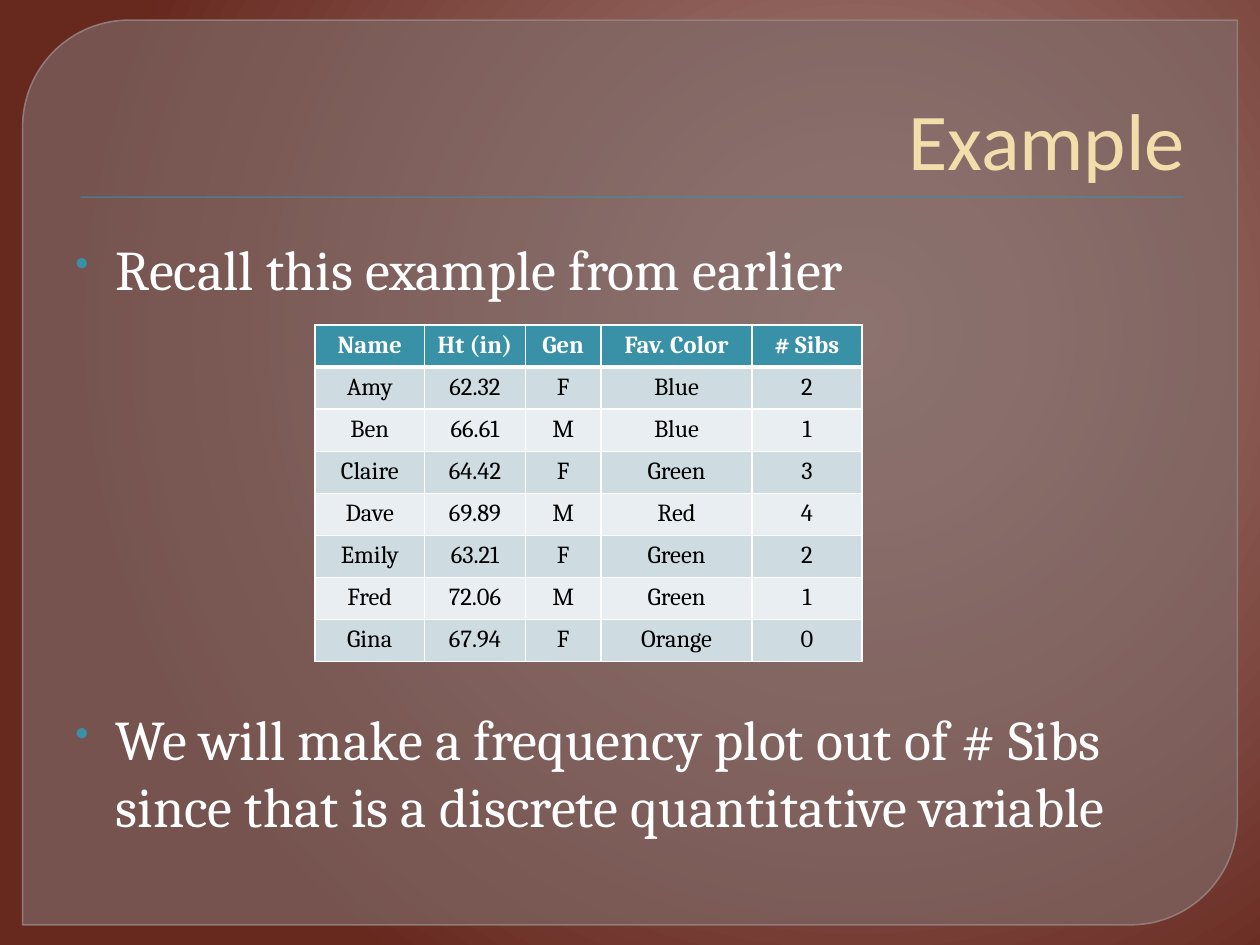
import dataclasses
import typing

import pptx
import pptx.dml.color
import pptx.enum.shapes
import pptx.enum.text
import pptx.oxml
import pptx.oxml.ns
import pptx.util

Inches = pptx.util.Inches
Pt = pptx.util.Pt
ALIGN = pptx.enum.text.PP_ALIGN
ANCHOR = pptx.enum.text.MSO_ANCHOR
SHAPE = pptx.enum.shapes.MSO_SHAPE
qn = pptx.oxml.ns.qn


@dataclasses.dataclass(frozen=True)
class Theme:
    heading_font: str = "Calibri"
    body_font: str = "Cambria"
    title_size: float = 46
    body_size: float = 32
    table_size: float = 14
    title: str = "F2DDAB"
    white: str = "FFFFFF"
    black: str = "000000"
    accent: str = "3891A7"
    panel: str = "7F6B69"
    panel_line: str = "968381"
    bands: tuple = ("CEDCE1", "E8EEF1")
    backdrop: tuple = ((0, "A7827D"), (20, "9C7570"), (100, "67281E"))


@dataclasses.dataclass(frozen=True)
class Box:
    left: float
    top: float
    width: float
    height: float

    def lengths(self) -> list:
        return [Inches(side) for side in dataclasses.astuple(self)]


@dataclasses.dataclass(frozen=True)
class Bullet:
    text: str
    box: Box


THEME = Theme()
BULLETS = (
    Bullet("Recall this example from earlier", Box(0.5, 1.81, 9, 0.65)),
    Bullet("We will make a frequency plot out of # Sibs since that is a discrete "
           "quantitative variable", Box(0.5, 5.54, 9, 1.21)),
)
COLUMN_WIDTHS = (0.87, 0.8, 0.6, 1.2, 0.87)
ROW_HEIGHT = 0.32
STUDENTS = (
    ("Name", "Ht (in)", "Gen", "Fav. Color", "# Sibs"),
    ("Amy", "62.32", "F", "Blue", "2"),
    ("Ben", "66.61", "M", "Blue", "1"),
    ("Claire", "64.42", "F", "Green", "3"),
    ("Dave", "69.89", "M", "Red", "4"),
    ("Emily", "63.21", "F", "Green", "2"),
    ("Fred", "72.06", "M", "Green", "1"),
    ("Gina", "67.94", "F", "Orange", "0"),
)


def rgb(color: str) -> pptx.dml.color.RGBColor:
    return pptx.dml.color.RGBColor.from_string(color)


def xml(markup: str) -> typing.Any:
    """Build an element; its root tag is written without the a: namespace."""
    tag, rest = markup[3:].split(" ", 1)
    return pptx.oxml.parse_xml(f"<a:{tag} {pptx.oxml.ns.nsdecls('a')} {rest}")


def set_opacity(fill_parent: typing.Any, percent: int) -> None:
    color = fill_parent.find(qn("a:solidFill")).find(qn("a:srgbClr"))
    color.append(xml(f'<a:alpha val="{percent * 1000}"/>'))


def write(frame: typing.Any, text: str, *, size: float, color: str, font: str,
          bold: bool = False, align: typing.Any = ALIGN.LEFT, margin: float = 0,
          indent: float = 0, bullet: str = "") -> None:
    paragraph = frame.paragraphs[0]
    paragraph.alignment = align
    properties = paragraph._p.get_or_add_pPr()
    properties.set("marL", str(Inches(margin)))
    properties.set("indent", str(Inches(indent)))
    if bullet:
        properties.append(xml(f'<a:buClr ><a:srgbClr val="{THEME.accent}"/></a:buClr>'))
        properties.append(xml('<a:buSzPct val="70000"/>'))
        properties.append(xml(f'<a:buChar char="{bullet}"/>'))
    run = paragraph.add_run()
    run.text = text
    run.font.size = Pt(size)
    run.font.name = font
    run.font.bold = bold
    run.font.color.rgb = rgb(color)


def add_text(slide: typing.Any, text: str, box: Box, *, anchor: typing.Any = ANCHOR.TOP,
             **text_format: typing.Any) -> None:
    frame = slide.shapes.add_textbox(*box.lengths()).text_frame
    frame.word_wrap = True
    frame.vertical_anchor = anchor
    write(frame, text, **text_format)


def add_filled(slide: typing.Any, preset: typing.Any, box: Box, color: str) -> typing.Any:
    shape = slide.shapes.add_shape(preset, *box.lengths())
    shape.shadow.inherit = False
    shape.fill.solid()
    shape.fill.fore_color.rgb = rgb(color)
    shape.line.fill.background()
    return shape


def paint_background(slide: typing.Any) -> None:
    slide.background.fill.gradient()
    gradient = next(slide.element.iter(qn("a:gradFill")))
    for child in list(gradient):
        gradient.remove(child)
    stops = "".join(f'<a:gs pos="{position * 1000}"><a:srgbClr val="{color}"/></a:gs>'
                    for position, color in THEME.backdrop)
    gradient.append(xml(f"<a:gsLst >{stops}</a:gsLst>"))
    gradient.append(xml('<a:path path="circle"><a:fillToRect l="68000" t="35000" '
                        'r="32000" b="65000"/></a:path>'))


def add_panel(slide: typing.Any) -> None:
    panel = add_filled(slide, SHAPE.ROUND_2_DIAG_RECTANGLE,
                       Box(0.18, 0.16, 9.64, 7.18), THEME.panel)
    panel.adjustments[0] = 0.118
    panel.adjustments[1] = 0
    panel.line.color.rgb = rgb(THEME.panel_line)
    panel.line.width = Pt(0.87)
    properties = panel.element.spPr
    set_opacity(properties, 65)
    set_opacity(properties.find(qn("a:ln")), 88)


def add_title_rule(slide: typing.Any) -> None:
    rule = add_filled(slide, SHAPE.RECTANGLE, Box(0.64, 1.56, 8.75, 0.01), THEME.accent)
    rule.element.spPr.find(qn("a:effectLst")).append(xml(
        f'<a:outerShdw blurRad="{Pt(1)}" dist="{Pt(1)}" dir="5400000" rotWithShape="0">'
        f'<a:srgbClr val="{THEME.black}"><a:alpha val="75000"/></a:srgbClr></a:outerShdw>'))


def set_borders(cell: typing.Any, **widths: float) -> None:
    properties = cell._tc.get_or_add_tcPr()
    for position, (side, width) in enumerate(widths.items()):
        properties.insert(position, xml(
            f'<a:ln{side} w="{Pt(width)}"><a:solidFill><a:srgbClr val="{THEME.white}"/>'
            f'</a:solidFill></a:ln{side}>'))


def add_student_table(slide: typing.Any) -> None:
    box = Box(2.5, 2.58, sum(COLUMN_WIDTHS), ROW_HEIGHT * len(STUDENTS))
    table = slide.shapes.add_table(len(STUDENTS), len(COLUMN_WIDTHS), *box.lengths()).table
    for column, width in zip(table.columns, COLUMN_WIDTHS):
        column.width = Inches(width)
    for row_index, values in enumerate(STUDENTS):
        header = row_index == 0
        for column_index, value in enumerate(values):
            cell = table.cell(row_index, column_index)
            cell.fill.solid()
            cell.fill.fore_color.rgb = rgb(
                THEME.accent if header else THEME.bands[(row_index - 1) % 2])
            set_borders(cell, L=1, R=1, T=3 if row_index == 1 else 1, B=3 if header else 1)
            write(cell.text_frame, value, size=THEME.table_size, font=THEME.body_font,
                  color=THEME.white if header else THEME.black, bold=header,
                  align=ALIGN.CENTER)


def main() -> None:
    deck = pptx.Presentation()
    deck.slide_width, deck.slide_height = Inches(10), Inches(7.5)
    slide = deck.slides.add_slide(deck.slide_layouts[6])

    # Backdrop
    paint_background(slide)
    add_panel(slide)
    add_title_rule(slide)

    # Title and bullets
    add_text(slide, "Example", Box(0.5, 0.28, 9, 1.25), anchor=ANCHOR.BOTTOM,
             size=THEME.title_size, color=THEME.title, font=THEME.heading_font,
             align=ALIGN.RIGHT, margin=0.06)
    for bullet in BULLETS:
        add_text(slide, bullet.text, bullet.box, size=THEME.body_size, color=THEME.white,
                 font=THEME.body_font, margin=0.32, indent=-0.32, bullet="•")

    # Data
    add_student_table(slide)
    deck.save("out.pptx")


if __name__ == "__main__":
    main()
